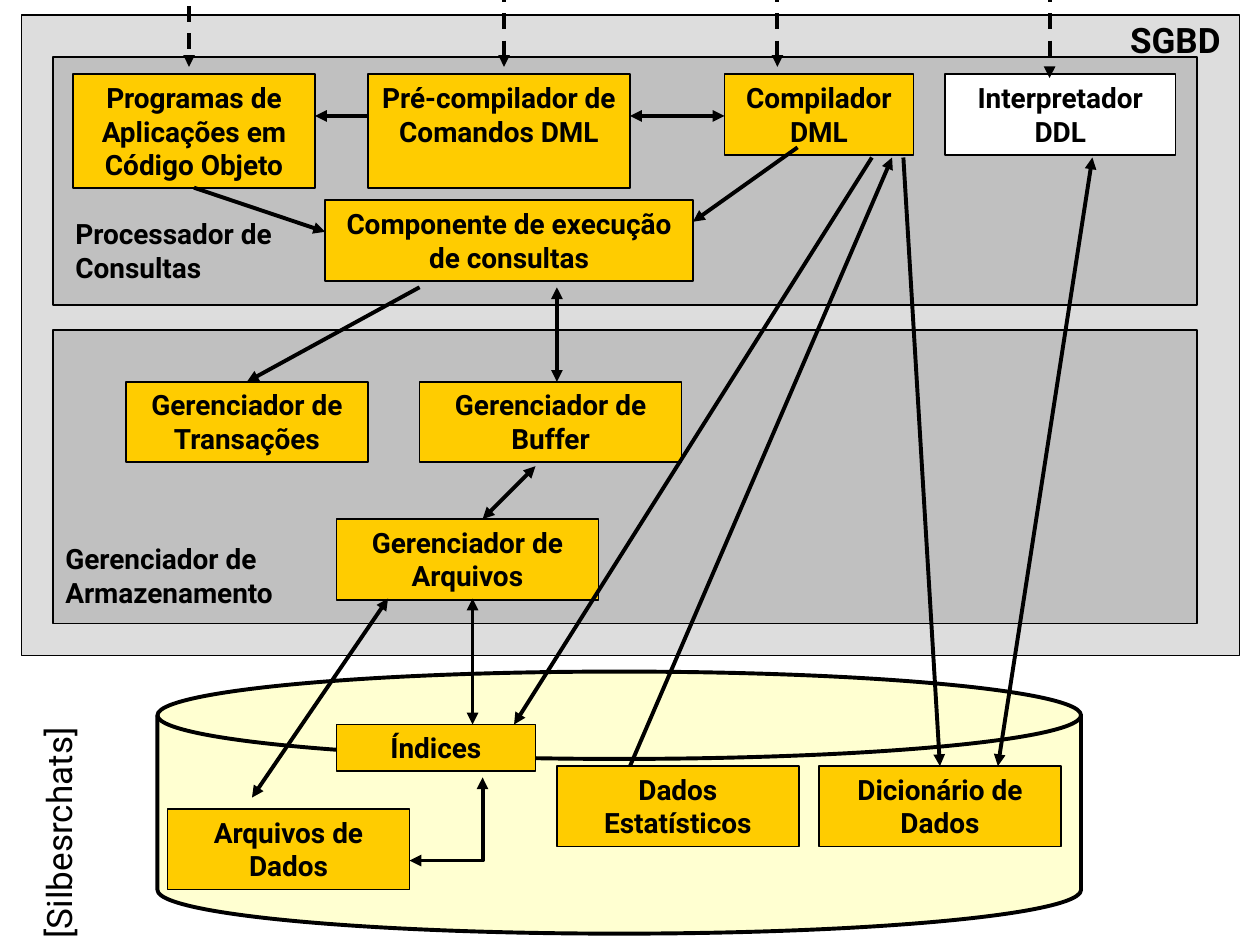
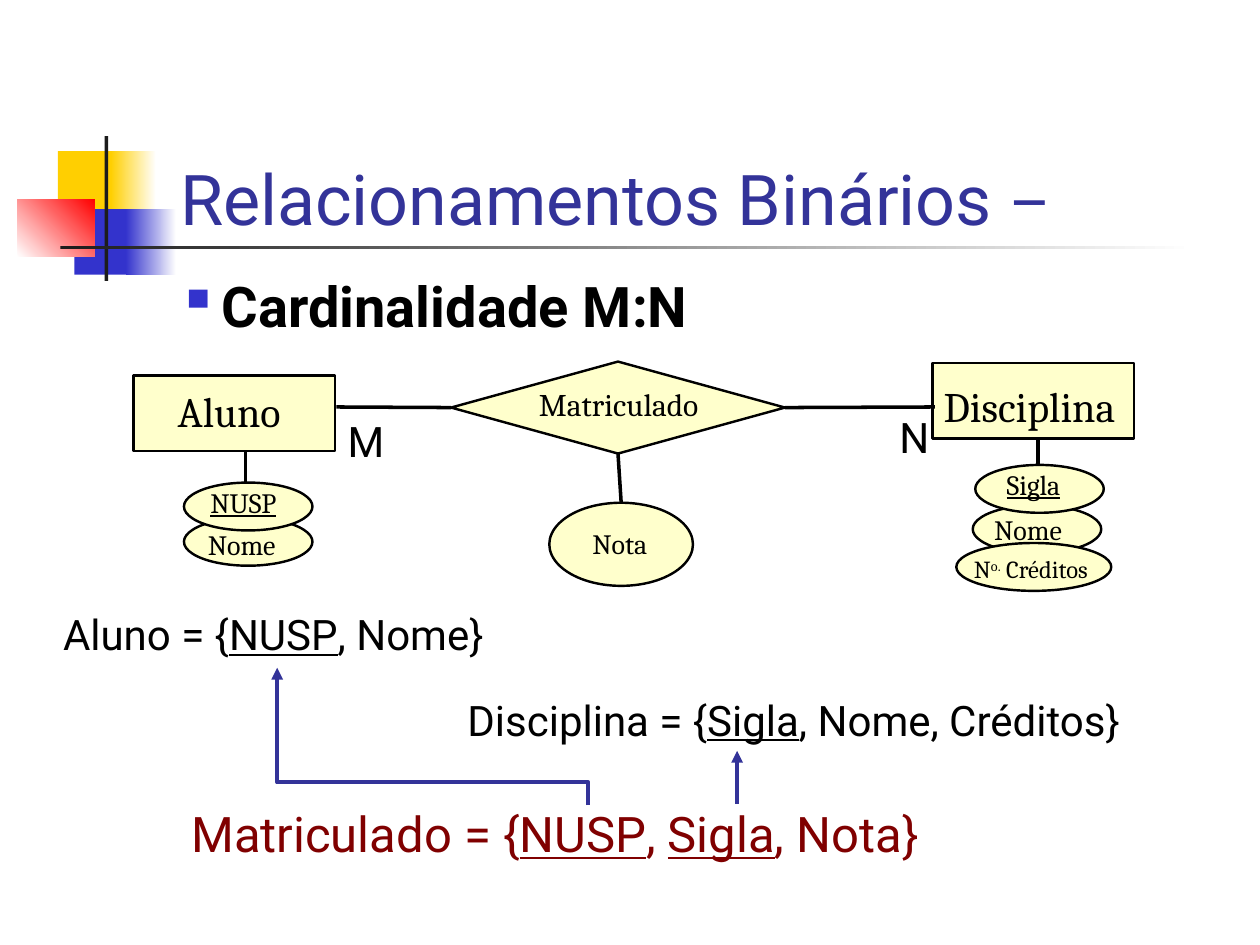
from dataclasses import dataclass
from typing import NamedTuple

from lxml import etree
from pptx import Presentation
from pptx.dml.color import RGBColor
from pptx.enum.dml import MSO_LINE
from pptx.enum.shapes import MSO_CONNECTOR, MSO_SHAPE
from pptx.enum.text import MSO_ANCHOR, MSO_AUTO_SIZE, PP_ALIGN
from pptx.oxml.ns import qn
from pptx.util import Inches, Pt

RECT, OVAL, DIAMOND = MSO_SHAPE.RECTANGLE, MSO_SHAPE.OVAL, MSO_SHAPE.DIAMOND
DISK = MSO_SHAPE.FLOWCHART_MAGNETIC_DISK
LEFT, CENTER = PP_ALIGN.LEFT, PP_ALIGN.CENTER
TOP, WEST, BOTTOM, EAST = range(4)


@dataclass(frozen=True)
class Theme:
    sans: str = "Roboto"
    serif: str = "Cambria"
    black: str = "000000"
    white: str = "FFFFFF"
    system: str = "DDDDDD"
    panel: str = "C0C0C0"
    component: str = "FFCC00"
    disk: str = "FFFFD1"
    entity: str = "FFFFCC"
    title: str = "333399"
    relation: str = "800000"
    yellow: str = "FFCF01"
    blue: str = "3333CC"
    red: str = "FF0000"
    bar: str = "1C1C1C"
    title_size: float = 40
    dash_size: float = 36
    bullet_size: float = 32
    relation_size: float = 28
    large: float = 24
    medium: float = 20
    matter: float = 18
    small: float = 16
    tiny: float = 14
    thin: float = 1
    outline: float = 1.39
    stem: float = 2
    arrow: float = 2.25


THEME = Theme()


class Box(NamedTuple):
    left: float
    top: float
    width: float
    height: float


class Run(NamedTuple):
    text: str
    underline: bool = False
    superscript: bool = False
    size: float | None = None


class Style(NamedTuple):
    size: float
    font: str = THEME.sans
    color: str = THEME.black
    bold: bool = False
    align: PP_ALIGN = LEFT
    inset: bool = True
    wrap: bool = True


class Label(NamedTuple):
    box: Box
    runs: list[Run]
    style: Style
    rotation: float = 0


class Component(NamedTuple):
    text: str
    box: Box
    fill: str = THEME.component


class Figure(NamedTuple):
    kind: MSO_SHAPE
    box: Box
    fill: str
    width: float


class Link(NamedTuple):
    """Straight line; from_join and to_join are (shape key, side)."""
    start: tuple[float, float]
    end: tuple[float, float]
    head: bool = False
    tail: bool = True
    dashed: bool = False
    from_join: tuple | None = None
    to_join: tuple | None = None


class Band(NamedTuple):
    box: Box
    color: str
    fade_to: str | None = None
    angle: float = 0


def emu(values) -> list[int]:
    return [Inches(value) for value in values]


def rgb(color: str) -> RGBColor:
    return RGBColor.from_string(color)


def write(frame, runs: list[Run], style: Style) -> None:
    frame.word_wrap = style.wrap
    frame.auto_size = MSO_AUTO_SIZE.NONE
    frame.vertical_anchor = MSO_ANCHOR.TOP
    side, edge = (0.1, 0.05) if style.inset else (0, 0)
    frame.margin_left = frame.margin_right = Inches(side)
    frame.margin_top = frame.margin_bottom = Inches(edge)
    paragraph = frame.paragraphs[0]
    paragraph.alignment = style.align
    for part in runs:
        run = paragraph.add_run()
        run.text = part.text
        font = run.font
        font.name, font.size = style.font, Pt(part.size or style.size)
        font.bold, font.underline = style.bold, part.underline
        font.color.rgb = rgb(style.color)
        if part.superscript:
            font._element.set("baseline", "30000")


def add_label(slide, label: Label):
    text_box = slide.shapes.add_textbox(*emu(label.box))
    text_box.rotation = label.rotation
    write(text_box.text_frame, label.runs, label.style)
    return text_box


def add_figure(slide, figure: Figure):
    shape = slide.shapes.add_shape(figure.kind, *emu(figure.box))
    shape.shadow.inherit = False
    shape.fill.solid()
    shape.fill.fore_color.rgb = rgb(figure.fill)
    shape.line.color.rgb = rgb(THEME.black)
    shape.line.width = Pt(figure.width)
    return shape


def style_line(shape, color: str, width: float, head: bool, tail: bool, dashed: bool = False) -> None:
    shape.line.color.rgb = rgb(color)
    shape.line.width = Pt(width)
    if dashed:
        shape.line.dash_style = MSO_LINE.DASH
    outline = shape._element.spPr.find(qn("a:ln"))
    for tag, shown in (("a:headEnd", head), ("a:tailEnd", tail)):
        if shown:
            etree.SubElement(outline, qn(tag), type="triangle")


def add_link(slide, link: Link, shapes: dict, width: float, color: str = THEME.black) -> None:
    line = slide.shapes.add_connector(MSO_CONNECTOR.STRAIGHT, *emu(link.start + link.end))
    if link.from_join:
        line.begin_connect(shapes[link.from_join[0]], link.from_join[1])
    if link.to_join:
        line.end_connect(shapes[link.to_join[0]], link.to_join[1])
    style_line(line, color, width, link.head, link.tail, link.dashed)
    etree.SubElement(line._element.spPr, qn("a:effectLst"))


def add_bent_arrow(slide, points: list[tuple], color: str, head: bool) -> None:
    first, *others = [tuple(emu(point)) for point in points]
    builder = slide.shapes.build_freeform(*first)
    builder.add_line_segments(others, close=False)
    shape = builder.convert_to_shape()
    shape.shadow.inherit = False
    shape.fill.background()
    style_line(shape, color, THEME.arrow, head, True)


def add_band(slide, band: Band) -> None:
    shape = slide.shapes.add_shape(RECT, *emu(band.box))
    shape.shadow.inherit = False
    shape.line.fill.background()
    if band.fade_to is None:
        shape.fill.solid()
        shape.fill.fore_color.rgb = rgb(band.color)
        return
    shape.fill.gradient()
    shape.fill.gradient_angle = band.angle
    for stop, color in zip(shape.fill.gradient_stops, (band.color, band.fade_to)):
        stop.color.rgb = rgb(color)


def build_architecture(prs) -> None:
    slide = prs.slides.add_slide(prs.slide_layouts[6])
    for figure in (
        Figure(RECT, Box(0.17, 0.12, 9.67, 5.08), THEME.system, 0.75),
        Figure(RECT, Box(0.42, 0.45, 9.08, 1.97), THEME.panel, THEME.thin),
        Figure(RECT, Box(0.42, 2.62, 9.08, 2.33), THEME.panel, THEME.thin),
        Figure(DISK, Box(1.25, 5.33, 7.33, 2.08), THEME.disk, THEME.arrow),
    ):
        add_figure(slide, figure)

    heading = Style(THEME.small, bold=True)
    centered = heading._replace(align=CENTER)
    components = {}
    for item in (
        Component("Pré-compilador de Comandos DML", Box(2.92, 0.59, 2.08, 0.9)),
        Component("Programas de Aplicações em Código Objeto", Box(0.58, 0.59, 1.92, 0.9)),
        Component("Compilador DML", Box(5.75, 0.59, 1.5, 0.64)),
        Component("Interpretador DDL", Box(7.5, 0.59, 1.83, 0.64), THEME.white),
        Component("Componente de execução de consultas", Box(2.58, 1.59, 2.92, 0.64)),
        Component("Gerenciador de Buffer", Box(3.33, 3.03, 2.08, 0.64)),
        Component("Gerenciador de Transações", Box(1, 3.03, 1.92, 0.64)),
        Component("Gerenciador de Arquivos", Box(2.67, 4.12, 2.08, 0.64)),
        Component("Índices", Box(2.67, 5.75, 1.58, 0.37)),
        Component("Dados Estatísticos", Box(4.42, 6.08, 1.92, 0.64)),
        Component("Dicionário de Dados", Box(6.5, 6.08, 1.92, 0.64)),
        Component("Arquivos de Dados", Box(1.33, 6.42, 1.92, 0.64)),
    ):
        shape = add_figure(slide, Figure(RECT, item.box, item.fill, THEME.thin))
        write(shape.text_frame, [Run(item.text)], centered)
        components[item.text] = shape

    unwrapped = Style(THEME.medium, wrap=False)
    for label in (
        Label(Box(0.42, 4.25, 2.36, 0.64), [Run("Gerenciador de Armazenamento")], heading),
        Label(Box(0.5, 1.67, 1.83, 0.64), [Run("Processador de Consultas")], heading),
        Label(Box(8.87, 0.1, 0.95, 0.44), [Run("SGBD")], unwrapped._replace(bold=True)),
        Label(Box(-0.51, 6.35, 1.95, 0.44), [Run("[Silbesrchats]")], unwrapped, 270),
    ):
        add_label(slide, label)

    requests = [Link((x, top), (x, bottom), dashed=True) for x, top, bottom in (
        (1.5, -0.17, 0.53), (4, -0.33, 0.53), (6.17, -0.33, 0.53), (8.33, -0.33, 0.62))]
    flows = [
        Link((2.92, 0.92), (2.5, 0.92)),
        Link((1.5, 1.51), (2.58, 1.84),
             from_join=("Programas de Aplicações em Código Objeto", BOTTOM)),
        Link((6.33, 1.17), (5.5, 1.76)),
        Link((5, 0.92), (5.75, 0.92), head=True),
        Link((3.33, 2.28), (2, 3.05), to_join=("Gerenciador de Transações", TOP)),
        Link((4.42, 2.28), (4.42, 3.03), head=True),
        Link((4.25, 3.7), (3.83, 4.12), head=True),
        Link((3.75, 4.75), (3.75, 5.75), head=True),
        Link((3.08, 4.75), (2, 6.33), head=True),
        Link((6.92, 1.25), (4.08, 5.75)),
        Link((7.08, 1.25), (5, 6.08), head=True, tail=False),
        Link((7.17, 1.25), (7.42, 6.08), to_join=("Dicionário de Dados", TOP)),
        Link((8.67, 1.25), (7.92, 6.08), head=True),
    ]
    for link in requests + flows:
        add_link(slide, link, components, THEME.arrow)
    add_bent_arrow(slide, [(3.83, 6.17), (3.83, 6.83), (3.25, 6.83)], THEME.black, head=True)


def add_title(slide) -> None:
    title = slide.shapes.title
    title.left, title.top, title.width, title.height = emu(Box(1.43, 0.63, 7.05, 1.27))
    write(title.text_frame, [Run("Relacionamentos Binários "), Run("–", size=THEME.dash_size)],
          Style(THEME.title_size, color=THEME.title, inset=False))
    title.text_frame.vertical_anchor = MSO_ANCHOR.BOTTOM


def add_bullet_line(slide, text: str) -> None:
    line = add_label(slide, Label(Box(1.31, 2.11, 4.61, 0.64), [Run(text)],
                                  Style(THEME.bullet_size, bold=True)))
    properties = line.text_frame.paragraphs[0]._p.get_or_add_pPr()
    properties.set("marL", str(Inches(0.35)))
    properties.set("indent", str(-Inches(0.35)))
    color = etree.SubElement(properties, qn("a:buClr"))
    etree.SubElement(color, qn("a:srgbClr"), val=THEME.blue)
    etree.SubElement(properties, qn("a:buChar"), char="▪")


def build_cardinality(prs) -> None:
    slide = prs.slides.add_slide(prs.slide_layouts[5])
    for band in (
        Band(Box(0.46, 1.2, 0.48, 0.52), THEME.yellow),
        Band(Box(0.88, 1.2, 0.36, 0.52), THEME.yellow, THEME.white),
        Band(Box(0.59, 1.66, 0.46, 0.52), THEME.blue),
        Band(Box(1, 1.66, 0.4, 0.52), THEME.blue, THEME.white),
        Band(Box(0.14, 1.58, 0.61, 0.46), THEME.white, THEME.red, 45),
        Band(Box(0.83, 1.08, 0.03, 1.15), THEME.bar),
        Band(Box(0.48, 1.95, 9, 0.03), THEME.bar, THEME.white),
    ):
        add_band(slide, band)
    add_title(slide)
    add_bullet_line(slide, "Cardinalidade M:N")

    attribute = Style(THEME.small, THEME.serif, inset=False)
    entity = attribute._replace(size=THEME.large)
    credits = [Run("N"), Run("o.", superscript=True), Run(" Créditos")]
    parts = {}
    for key, kind, box, label in (
        ("nome do aluno", OVAL, Box(1.46, 4.11, 1.02, 0.38),
         Label(Box(1.65, 4.19, 0.73, 0.27), [Run("Nome")], attribute)),
        ("nusp", OVAL, Box(1.46, 3.83, 1.02, 0.38),
         Label(Box(1.67, 3.85, 0.73, 0.27), [Run("NUSP", True)], attribute)),
        ("disciplina", RECT, Box(7.4, 2.88, 1.6, 0.6),
         Label(Box(7.49, 3.02, 1.47, 0.8), [Run("Disciplina")], entity)),
        ("nome da disciplina", OVAL, Box(7.72, 4.01, 1.02, 0.38),
         Label(Box(7.89, 4.07, 0.73, 0.27), [Run("Nome")], attribute)),
        ("créditos", OVAL, Box(7.59, 4.31, 1.23, 0.38),
         Label(Box(7.73, 4.4, 1.12, 0.23), credits, attribute._replace(size=THEME.tiny))),
        ("matriculado", DIAMOND, Box(3.58, 2.87, 2.65, 0.73),
         Label(Box(4.1, 3.06, 1.62, 0.3), [Run("Matriculado")],
               attribute._replace(size=THEME.matter, align=CENTER))),
        ("aluno", RECT, Box(1.06, 2.98, 1.6, 0.6),
         Label(Box(1.41, 3.06, 0.96, 0.4), [Run("Aluno")], entity)),
        ("nota", OVAL, Box(4.36, 3.99, 1.14, 0.66),
         Label(Box(4.39, 4.18, 1.06, 0.27), [Run("Nota")], attribute._replace(align=CENTER))),
        ("sigla", OVAL, Box(7.74, 3.69, 1.02, 0.38),
         Label(Box(7.99, 3.71, 0.66, 0.27), [Run("Sigla", True)], attribute)),
    ):
        parts[key] = add_figure(slide, Figure(kind, box, THEME.entity, THEME.outline))
        add_label(slide, label)

    for link in (
        Link((8.24, 3.7), (8.24, 3.48), tail=False),
        Link((1.95, 3.84), (1.95, 3.58), tail=False),
        Link((4.92, 3.62), (4.92, 3.99), tail=False,
             from_join=("matriculado", BOTTOM), to_join=("nota", TOP)),
        Link((2.67, 3.23), (3.58, 3.23), tail=False, to_join=("matriculado", WEST)),
        Link((6.25, 3.23), (7.42, 3.23), tail=False, from_join=("matriculado", EAST)),
    ):
        add_link(slide, link, parts, THEME.stem)

    cardinality = Style(THEME.large)
    schema = cardinality._replace(inset=False)
    relation = schema._replace(size=THEME.relation_size, color=THEME.relation)
    nusp, sigla = Run("NUSP", True), Run("Sigla", True)
    for label in (
        Label(Box(2.66, 3.25, 0.42, 0.5), [Run("M")], cardinality),
        Label(Box(7.04, 3.22, 0.42, 0.5), [Run("N")], cardinality),
        Label(Box(3.71, 5.51, 6, 0.4),
              [Run("Disciplina = {"), sigla, Run(", Nome, Créditos}")], schema),
        Label(Box(0.5, 4.83, 4.58, 0.4), [Run("Aluno = {"), nusp, Run(", Nome}")], schema),
        Label(Box(1.52, 6.38, 6.35, 0.47),
              [Run("Matriculado = {"), nusp, Run(", "), sigla, Run(", Nota}")], relation),
    ):
        add_label(slide, label)
    add_bent_arrow(slide, [(4.67, 6.39), (4.67, 6.21), (2.2, 6.21), (2.2, 5.3)],
                   THEME.title, head=False)
    add_link(slide, Link((5.85, 6.38), (5.85, 5.96)), parts, THEME.arrow, THEME.title)


def main() -> None:
    prs = Presentation()
    prs.slide_width, prs.slide_height = Inches(10), Inches(7.5)
    build_architecture(prs)
    build_cardinality(prs)
    prs.save("out.pptx")


if __name__ == "__main__":
    main()
